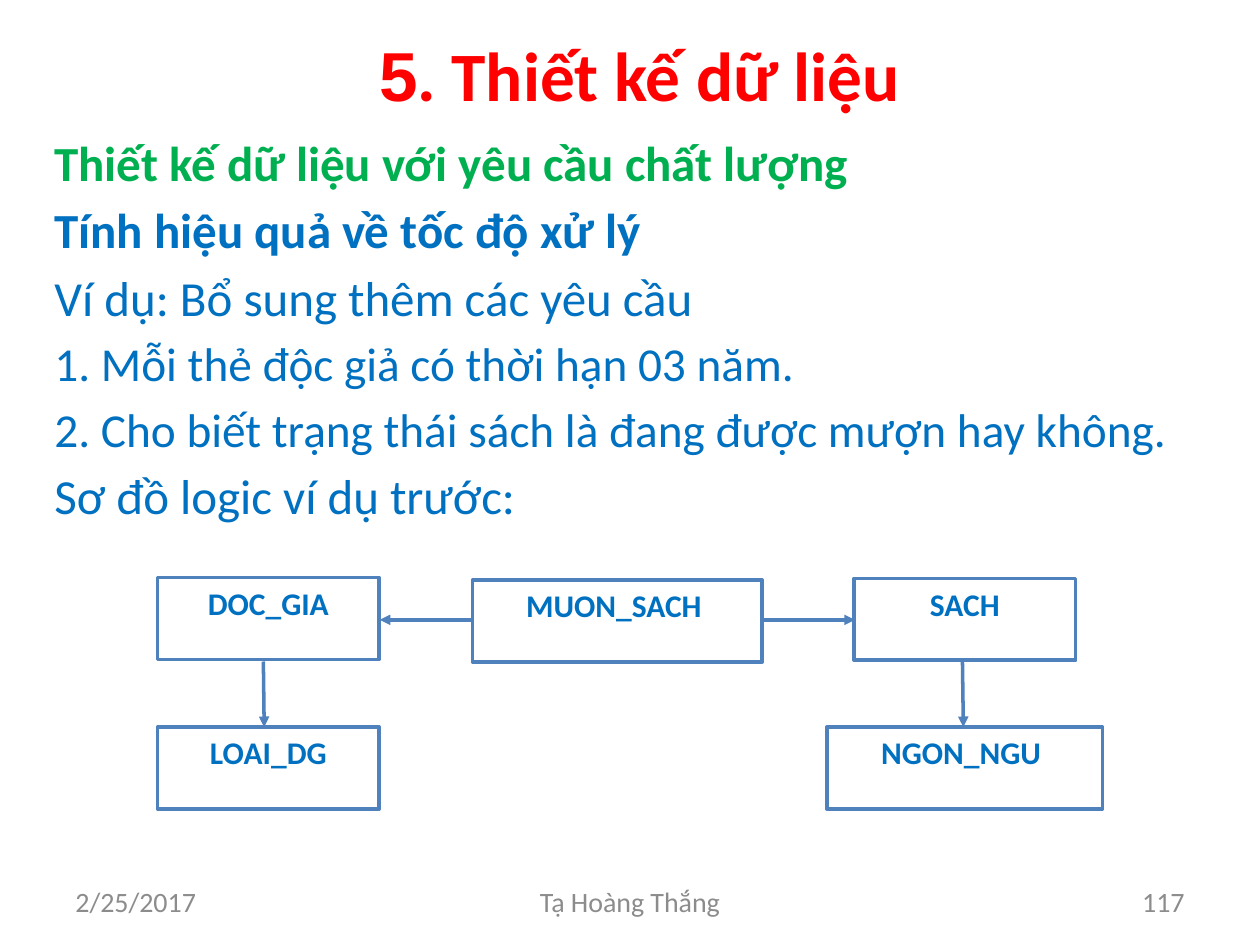
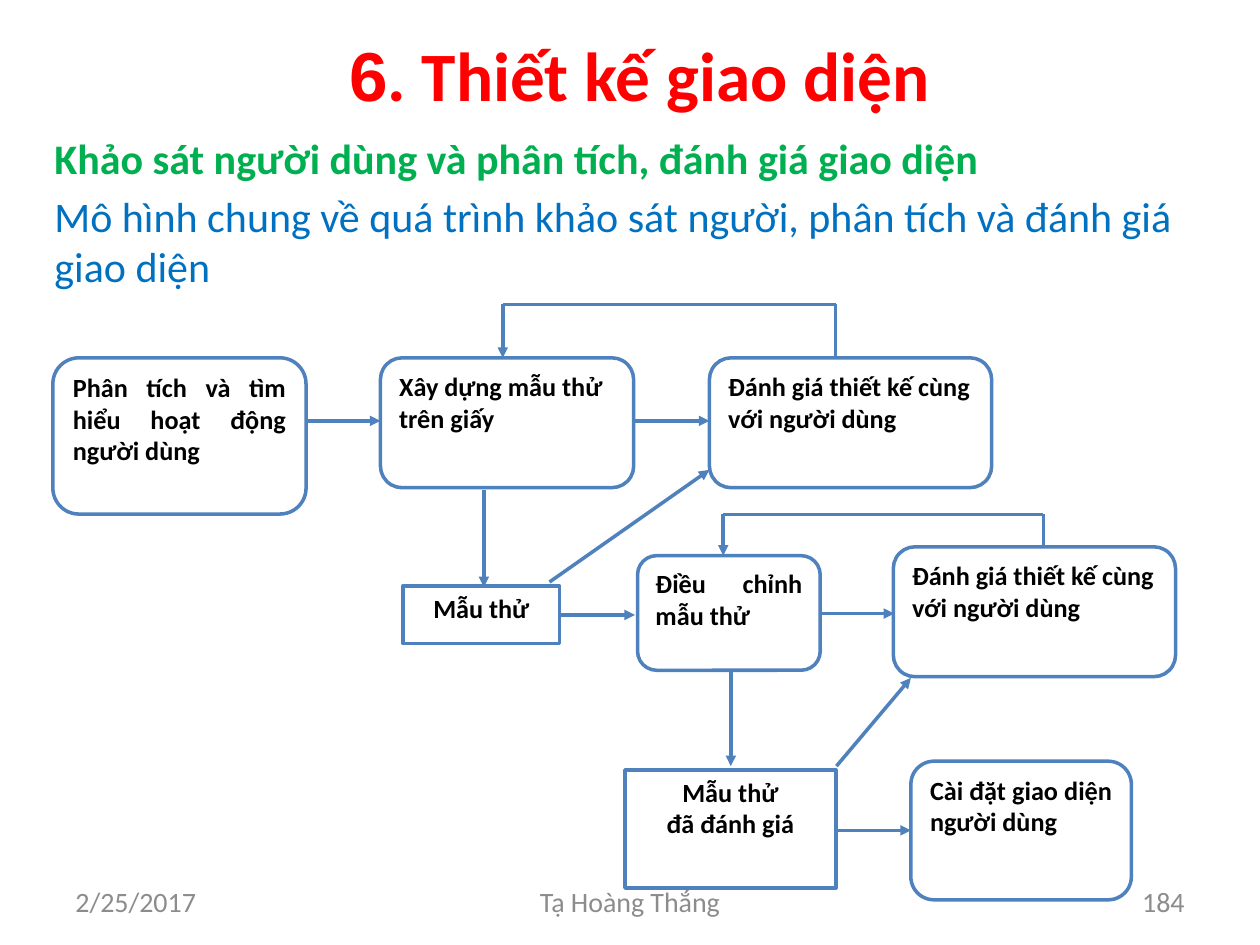
from dataclasses import dataclass
from itertools import pairwise

import lxml.etree
import pptx
import pptx.dml.color
import pptx.enum.shapes
import pptx.enum.text
import pptx.oxml.ns
import pptx.slide
import pptx.text.text
import pptx.util

RED = pptx.dml.color.RGBColor(0xFF, 0x00, 0x00)
GREEN = pptx.dml.color.RGBColor(0x00, 0xB0, 0x50)
BLUE = pptx.dml.color.RGBColor(0x00, 0x70, 0xC0)
OUTLINE = pptx.dml.color.RGBColor(0x4F, 0x81, 0xBD)
GREY = pptx.dml.color.RGBColor(0x8C, 0x8C, 0x8C)
BLACK = pptx.dml.color.RGBColor(0x00, 0x00, 0x00)
WHITE = pptx.dml.color.RGBColor(0xFF, 0xFF, 0xFF)

LEFT = pptx.enum.text.PP_ALIGN.LEFT
CENTER = pptx.enum.text.PP_ALIGN.CENTER
RIGHT = pptx.enum.text.PP_ALIGN.RIGHT
JUSTIFY = pptx.enum.text.PP_ALIGN.JUSTIFY
TOP = pptx.enum.text.MSO_ANCHOR.TOP
MIDDLE = pptx.enum.text.MSO_ANCHOR.MIDDLE
RECTANGLE = pptx.enum.shapes.MSO_SHAPE.RECTANGLE
ROUNDED = pptx.enum.shapes.MSO_SHAPE.ROUNDED_RECTANGLE

LINE_WIDTH = 2
SPACE_BEFORE_RATIO = 0.18
TITLE_SIZE = 39.6
FOOTER_SIZE = 16

Point = tuple[float, float]


@dataclass(frozen=True)
class Area:
    left: float
    top: float
    width: float
    height: float

    def lengths(self) -> list[pptx.util.Length]:
        return [pptx.util.Pt(value) for value in (self.left, self.top, self.width, self.height)]


@dataclass(frozen=True)
class Run:
    text: str
    size: float
    color: pptx.dml.color.RGBColor
    bold: bool = False
    font: str = "Calibri"


@dataclass(frozen=True)
class Line:
    runs: tuple[Run, ...]
    align: pptx.enum.text.PP_ALIGN = LEFT


@dataclass(frozen=True)
class Box:
    area: Area
    lines: tuple[str, ...]
    align: pptx.enum.text.PP_ALIGN = CENTER
    rounded: bool = False


@dataclass(frozen=True)
class Route:
    points: tuple[Point, ...]


@dataclass(frozen=True)
class Diagram:
    boxes: tuple[Box, ...]
    routes: tuple[Route, ...]
    text_size: float
    text_color: pptx.dml.color.RGBColor


@dataclass(frozen=True)
class Page:
    number: str
    title: str
    page_number: str
    body: tuple[Line, ...]
    diagram: Diagram


TITLE_AREA = Area(36, 18, 648, 48)
BODY_AREA = Area(24, 72, 672, 438)
FOOTER_TOP, FOOTER_HEIGHT = 500.5, 28.75
DATE_AREA = Area(36, FOOTER_TOP, 168, FOOTER_HEIGHT)
AUTHOR_AREA = Area(246, FOOTER_TOP, 228, FOOTER_HEIGHT)
NUMBER_AREA = Area(516, FOOTER_TOP, 168, FOOTER_HEIGHT)


def fill_text(frame: pptx.text.text.TextFrame, lines: tuple[Line, ...]) -> None:
    frame.word_wrap = True
    for index, line in enumerate(lines):
        paragraph = frame.add_paragraph() if index else frame.paragraphs[0]
        paragraph.alignment = line.align
        if index:
            paragraph.space_before = pptx.util.Pt(round(line.runs[0].size * SPACE_BEFORE_RATIO, 1))
        for part in line.runs:
            run = paragraph.add_run()
            run.text = part.text
            run.font.name = part.font
            run.font.size = pptx.util.Pt(part.size)
            run.font.bold = part.bold
            run.font.color.rgb = part.color


def add_text(
    slide: pptx.slide.Slide,
    area: Area,
    lines: tuple[Line, ...],
    anchor: pptx.enum.text.MSO_ANCHOR = TOP,
) -> None:
    frame = slide.shapes.add_textbox(*area.lengths()).text_frame
    frame.vertical_anchor = anchor
    fill_text(frame, lines)


def add_box(slide: pptx.slide.Slide, box: Box, diagram: Diagram) -> None:
    shape = slide.shapes.add_shape(ROUNDED if box.rounded else RECTANGLE, *box.area.lengths())
    shape.shadow.inherit = False
    shape.fill.solid()
    shape.fill.fore_color.rgb = WHITE
    shape.line.color.rgb = OUTLINE
    shape.line.width = pptx.util.Pt(LINE_WIDTH)
    shape.text_frame.vertical_anchor = TOP
    fill_text(
        shape.text_frame,
        tuple(
            Line((Run(text, diagram.text_size, diagram.text_color, True),), box.align)
            for text in box.lines
        ),
    )
    for paragraph in shape.text_frame.paragraphs[1:]:
        paragraph.space_before = pptx.util.Pt(0)


def add_route(slide: pptx.slide.Slide, route: Route) -> None:
    for start, end in pairwise(route.points):
        connector = slide.shapes.add_connector(
            pptx.enum.shapes.MSO_CONNECTOR.STRAIGHT,
            *(pptx.util.Pt(value) for value in start + end),
        )
        connector.line.color.rgb = OUTLINE
        connector.line.width = pptx.util.Pt(LINE_WIDTH)
        properties = connector.element.spPr
        if end == route.points[-1]:
            outline = properties.find(pptx.oxml.ns.qn("a:ln"))
            lxml.etree.SubElement(outline, pptx.oxml.ns.qn("a:tailEnd"), type="triangle")
        lxml.etree.SubElement(properties, pptx.oxml.ns.qn("a:effectLst"))


def add_footer(slide: pptx.slide.Slide, page_number: str) -> None:
    for area, text, align in (
        (DATE_AREA, "2/25/2017", LEFT),
        (AUTHOR_AREA, "Tạ Hoàng Thắng", CENTER),
        (NUMBER_AREA, page_number, RIGHT),
    ):
        add_text(slide, area, (Line((Run(text, FOOTER_SIZE, GREY),), align),), MIDDLE)


def add_page(presentation: pptx.presentation.Presentation, page: Page) -> None:
    slide = presentation.slides.add_slide(presentation.slide_layouts[6])
    title = (
        Run(" ", TITLE_SIZE, RED, font="Arial"),
        Run(page.number, TITLE_SIZE, RED, True, "Arial"),
        Run(f". {page.title}", TITLE_SIZE, RED, True),
    )
    add_text(slide, TITLE_AREA, (Line(title, CENTER),), MIDDLE)
    add_text(slide, BODY_AREA, page.body)
    add_footer(slide, page.page_number)
    for box in page.diagram.boxes:
        add_box(slide, box, page.diagram)
    for route in page.diagram.routes:
        add_route(slide, route)


TABLE_HEIGHT = 46.8
TABLE_WIDTH = 126.7
LOWER_ROW = 415.5
TABLE_LINKS = Diagram(
    boxes=(
        Box(Area(90, 330, TABLE_WIDTH, TABLE_HEIGHT), ("DOC_GIA",)),
        Box(Area(270, 331.5, 165.6, TABLE_HEIGHT), ("MUON_SACH ",)),
        Box(Area(488, 330.5, TABLE_WIDTH, TABLE_HEIGHT), ("SACH",)),
        Box(Area(90, LOWER_ROW, TABLE_WIDTH, TABLE_HEIGHT), ("LOAI_DG",)),
        Box(Area(472.5, LOWER_ROW, 157.5, TABLE_HEIGHT), ("NGON_NGU ",)),
    ),
    routes=(
        Route(((435.6, 354.2), (488.5, 354.2))),
        Route(((270, 354.2), (217, 354.2))),
        Route(((150.5, 378), (151, LOWER_ROW))),
        Route(((550, 378), (550.5, LOWER_ROW))),
    ),
    text_size=18,
    text_color=BLUE,
)

STEP_TOP = 204.5
STEP_WIDTH = 144.7
REVIEW_WIDTH, REVIEW_HEIGHT = 161.3, 74.2
REVIEW_TEXT = ("Đánh giá thiết kế cùng với người dùng",)
SURVEY_PROCESS = Diagram(
    boxes=(
        Box(Area(30.2, STEP_TOP, STEP_WIDTH, 89.3),
            ("Phân tích và tìm hiểu hoạt động người dùng",), JUSTIFY, True),
        Box(Area(217.4, STEP_TOP, STEP_WIDTH, REVIEW_HEIGHT),
            ("Xây dựng mẫu thử trên giấy",), LEFT, True),
        Box(Area(405.4, STEP_TOP, REVIEW_WIDTH, REVIEW_HEIGHT), REVIEW_TEXT, LEFT, True),
        Box(Area(230.4, 334.8, 89.3, 33), ("Mẫu thử",)),
        Box(Area(364.3, 317.5, 104.4, 65.5), ("Điều chỉnh mẫu thử",), JUSTIFY, True),
        Box(Area(510.5, 312.5, REVIEW_WIDTH, REVIEW_HEIGHT), REVIEW_TEXT, LEFT, True),
        Box(Area(357.1, 440, 120.5, 67.5), ("Mẫu thử", "đã đánh giá")),
        Box(Area(520.5, 435, 126, 79.2), ("Cài đặt giao diện người dùng",), JUSTIFY, True),
    ),
    routes=(
        Route(((319.7, 351.4), (362.9, 351.4))),
        Route(((276.5, 280), (276.5, 335.5))),
        Route(((314, 332.6), (405.4, 268.5))),
        Route(((175, 240.5), (217.4, 240.5))),
        Route(((362.2, 240.5), (405.4, 240.5))),
        Route(((468.7, 350.6), (511, 350.6))),
        Route(((417.6, 382.5), (417.6, 437.8))),
        Route(((478, 474.5), (520.5, 474.5))),
        Route(((478, 437.8), (520.5, 387.4))),
        Route(((477.5, STEP_TOP), (477.5, 174), (287.3, 174), (287.3, STEP_TOP))),
        Route(((596.2, 312.5), (596.2, 294), (413.3, 294), (413.3, 317.5))),
    ),
    text_size=15,
    text_color=BLACK,
)

PAGES = (
    Page(
        "5", "Thiết kế dữ liệu", "117",
        (
            Line((Run("Thiết kế dữ liệu với yêu cầu chất lượng", 28, GREEN, True),)),
            Line((Run("Tính hiệu quả về tốc độ xử lý", 28, BLUE, True),)),
            Line((Run("Ví dụ: Bổ sung thêm các yêu cầu", 28, BLUE),), JUSTIFY),
            Line((Run("1. Mỗi thẻ độc giả có thời hạn 03 năm.", 27, BLUE),)),
            Line((Run("2. Cho biết trạng thái sách là đang được mượn hay không.", 27, BLUE),)),
            Line((Run("Sơ đồ logic ví dụ trước:", 28, BLUE),)),
        ),
        TABLE_LINKS,
    ),
    Page(
        "6", "Thiết kế giao diện", "184",
        (
            Line((Run("Khảo sát người dùng và phân tích, đánh giá giao diện", 24, GREEN, True),)),
            Line((Run("Mô hình chung về quá trình khảo sát người, phân tích và đánh giá "
                      "giao diện", 24, BLUE),)),
        ),
        SURVEY_PROCESS,
    ),
)


def main() -> None:
    presentation = pptx.Presentation()
    presentation.slide_width = pptx.util.Pt(720)
    presentation.slide_height = pptx.util.Pt(540)
    for page in PAGES:
        add_page(presentation, page)
    presentation.save("out.pptx")


if __name__ == "__main__":
    main()
